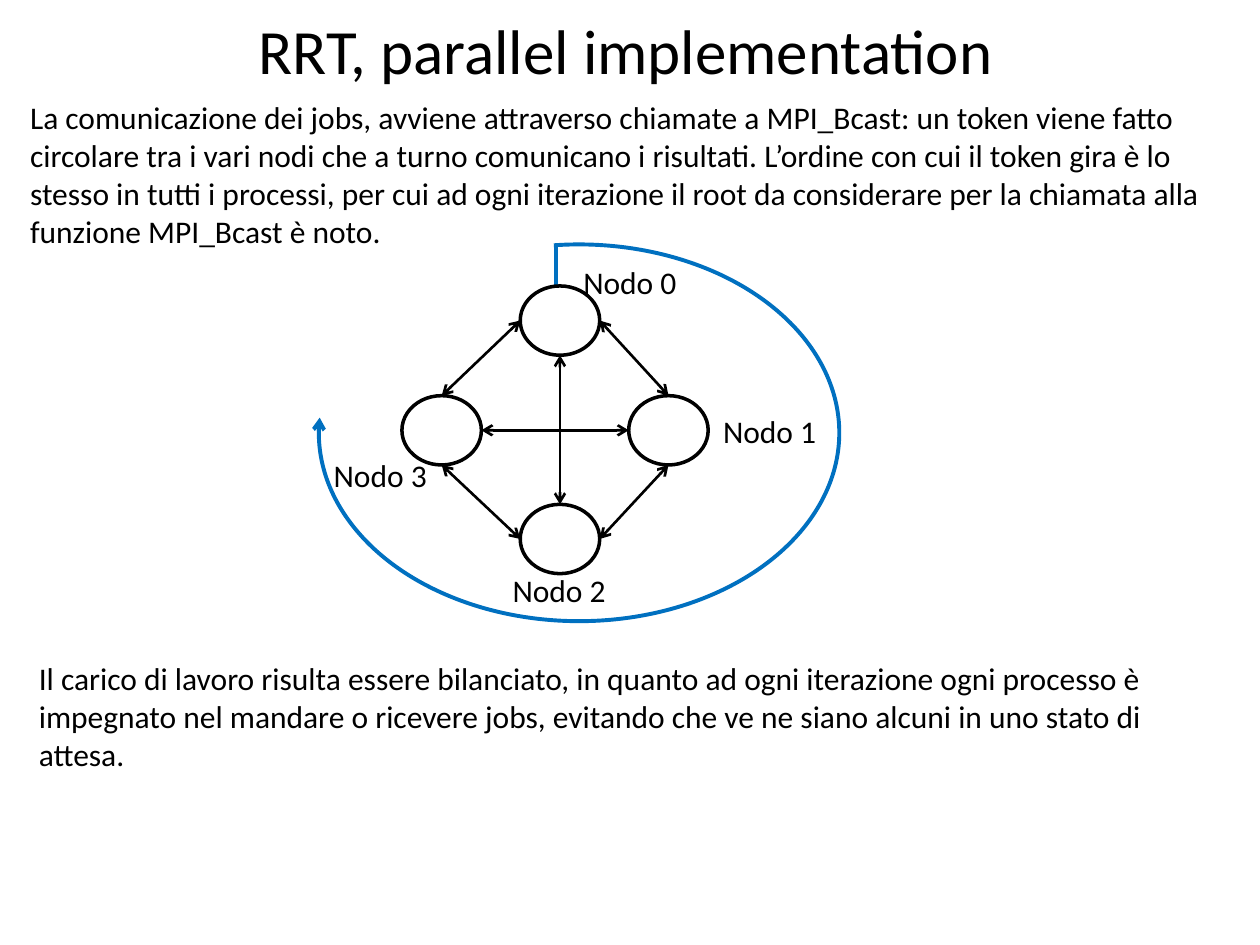
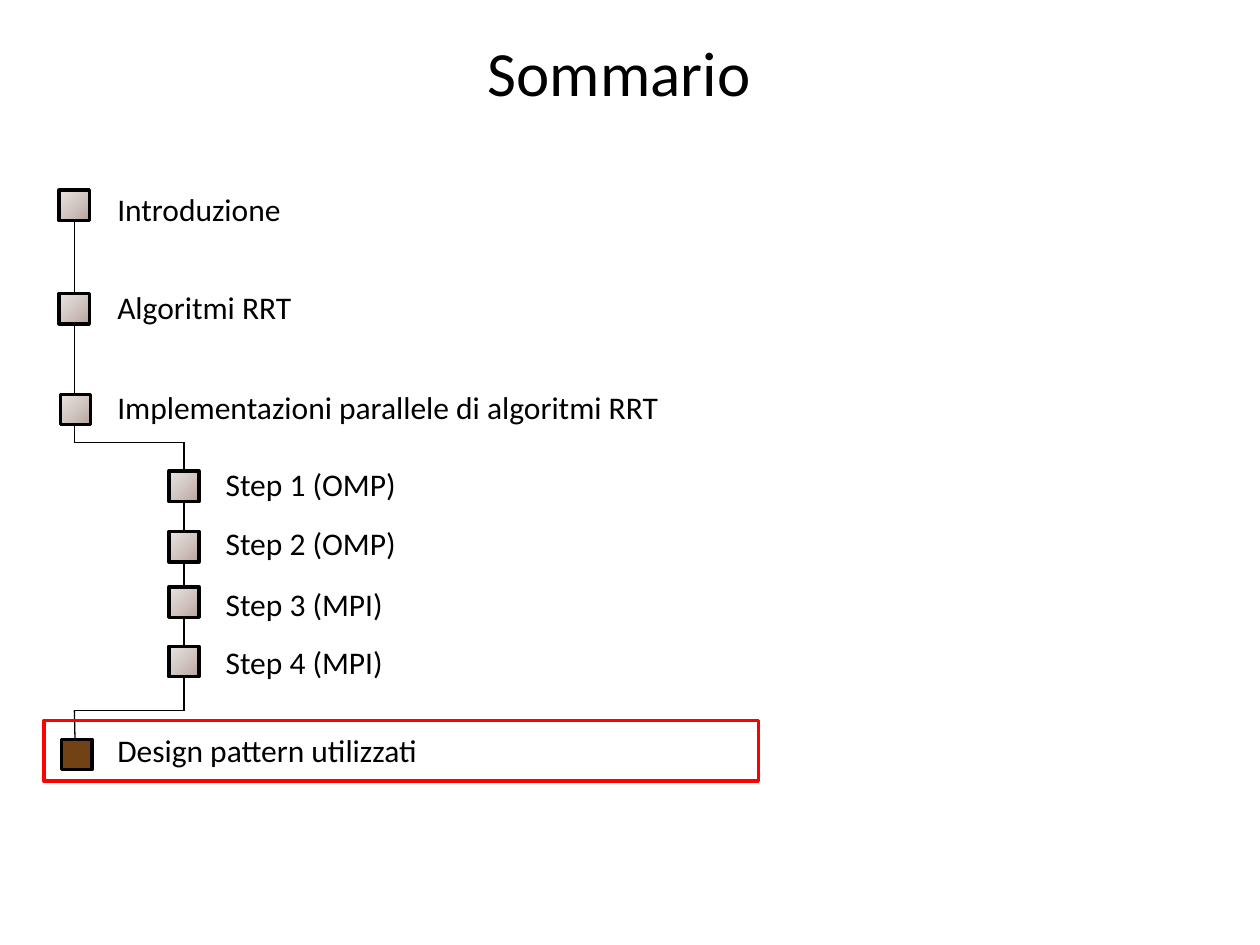
from dataclasses import dataclass
from copy import deepcopy
from itertools import pairwise

from lxml import etree
from pptx import Presentation
from pptx.dml.color import RGBColor
from pptx.enum import shapes, text
from pptx.oxml import ns
from pptx.util import Pt

TITLES = {
    "parallel": ("RRT, parallel implementation", (8.6, 2.9)),
    "summary": ("Sommario", (5, 15.1)),
}
TITLE_SIZE = (697.7, 51.1)

PARAGRAPHS = [
    ("La comunicazione dei jobs, avviene attraverso chiamate a MPI_Bcast: un token viene "
     "fatto circolare tra i vari nodi che a turno comunicano i risultati. L’ordine con cui "
     "il token gira è lo stesso in tutti i processi, per cui ad ogni iterazione il root da "
     "considerare per la chiamata alla funzione MPI_Bcast è noto.", (10.1, 52.6, 684.7, 94.3)),
    ("Il carico di lavoro risulta essere bilanciato, in quanto ad ogni iterazione ogni "
     "processo è impegnato nel mandare o ricevere jobs, evitando che ve ne siano alcuni in "
     "uno stato di attesa.", (15.1, 373, 684.7, 72.7)),
]

NODE_SIZE = (45.4, 39.6)
NODES = [
    ("Nodo 0", (320, 183.2), (326.2, 146.9)),
    ("Nodo 1", (382, 245.9), (406.1, 231.8)),
    ("Nodo 2", (320, 308), (285.8, 322.6)),
    ("Nodo 3", (252.4, 245.9), (183.6, 257)),
]
LABEL_SIZE = (73.4, 51.1)
SIDES = {"top": (0, -0.5), "bottom": (0, 0.5), "left": (-0.5, 0), "right": (0.5, 0)}
LINKS = [
    (3, "top", 0, "left"), (2, "top", 0, "bottom"), (3, "right", 1, "left"),
    (1, "top", 0, "right"), (2, "right", 1, "bottom"), (2, "left", 3, "bottom"),
]
TOKEN_STEM = ((317.5, 140.4), (317.5, 166.3))
TOKEN_ARC = (182.2, 139.7, 297.4, 215.3)
TOKEN_ANGLES = (157.41, 110.01)

TOPICS = [
    ("Introduzione", 0, 105.1, (33.8, 108.7)),
    ("Algoritmi RRT", 0, 161.3, (33.8, 167.8)),
    ("Implementazioni parallele di algoritmi RRT", 0, 218.9, (34.6, 225.4)),
    ("Step 1 (OMP)", 1, 263.5, (96.5, 269.3)),
    ("Step 2 (OMP)", 1, 297.4, (96.5, 303.8)),
    ("Step 3 (MPI)", 1, 332.6, (96.5, 335.5)),
    ("Step 4 (MPI)", 1, 366.5, (96.5, 369.4)),
    ("Design pattern utilizzati", 0, 416.9, (35.3, 422.6)),
]
CURRENT_TOPIC = len(TOPICS) - 1
TOPIC_LEFT, TOPIC_WIDTH, TOPIC_HEIGHT = 59.8, 532.8, 28.8
STEP_INDENT = 61.9
LINE_HEIGHT = 22
MARKER_SIZE = 17.3
TRAIL = [(42.5, 116.6), (42.5, 252.7), (105.1, 252.7),
         (105.1, 406.1), (42.5, 406.1), (43.2, 437)]
CURRENT_FRAME = (25.2, 411.8, 408.2, 34.6)


@dataclass(frozen=True)
class Theme:
    font: str = "Calibri"
    title: float = 36
    body: float = 18
    ink: str = "000000"
    paper: str = "FFFFFF"
    token: str = "0070C0"
    frame: str = "FF0000"
    current: str = "704214"
    marker: tuple = ((0, "B8A39A"), (0.5, "D2C7C3"), (1, "E9E4E2"))
    marker_angle: float = 135
    trail_width: float = 0.75
    link_width: float = 1.5
    outline_width: float = 2
    token_width: float = 2.25


THEME = Theme()


def points(*values):
    return [Pt(value) for value in values]


def color(value):
    return RGBColor.from_string(value)


def place(shape, left, top, width, height):
    shape.left, shape.top, shape.width, shape.height = points(left, top, width, height)


def style(paragraph, size):
    paragraph.font.name = THEME.font
    paragraph.font.size = Pt(size)
    paragraph.font.color.rgb = color(THEME.ink)


def stroke(shape, line_color, width, *arrow_ends):
    shape.line.color.rgb = color(line_color)
    shape.line.width = Pt(width)
    outline = shape.element.spPr.find(ns.qn("a:ln"))
    for end in arrow_ends:
        etree.SubElement(outline, ns.qn(f"a:{end}"), type="arrow")


def add_line(slide, start, finish, line_color, width, *arrow_ends):
    line = slide.shapes.add_connector(
        shapes.MSO_CONNECTOR.STRAIGHT, *points(*start, *finish))
    stroke(line, line_color, width, *arrow_ends)
    etree.SubElement(line.element.spPr, ns.qn("a:effectLst"))


def add_figure(slide, kind, box, line_color, width, fill=None):
    shape = slide.shapes.add_shape(kind, *points(*box))
    shape.shadow.inherit = False
    if fill:
        shape.fill.solid()
        shape.fill.fore_color.rgb = color(fill)
    else:
        shape.fill.background()
    stroke(shape, line_color, width)
    return shape


def add_text(slide, content, box):
    frame = slide.shapes.add_textbox(*points(*box)).text_frame
    frame.word_wrap = True
    frame.text = content
    style(frame.paragraphs[0], THEME.body)


def add_slide(presentation, layout, key):
    slide = presentation.slides.add_slide(presentation.slide_layouts.get_by_name(layout))
    content, position = TITLES[key]
    title = slide.shapes.title
    place(title, *position, *TITLE_SIZE)
    title.text_frame.text = content
    title.text_frame.auto_size = text.MSO_AUTO_SIZE.NONE
    paragraph = title.text_frame.paragraphs[0]
    paragraph.alignment = text.PP_ALIGN.CENTER
    style(paragraph, THEME.title)
    return slide


def node_side(node, side):
    center = NODES[node][1]
    return [middle + size * share
            for middle, size, share in zip(center, NODE_SIZE, SIDES[side])]


def build_parallel(presentation):
    slide = add_slide(presentation, "Title Only", "parallel")
    add_line(slide, *TOKEN_STEM, THEME.token, THEME.token_width)
    for label, center, label_position in NODES:
        corner = [middle - size / 2 for middle, size in zip(center, NODE_SIZE)]
        add_figure(slide, shapes.MSO_SHAPE.OVAL, (*corner, *NODE_SIZE),
                   THEME.ink, THEME.outline_width, THEME.paper)
        add_text(slide, label, (*label_position, *LABEL_SIZE))
    for first, first_side, second, second_side in LINKS:
        add_line(slide, node_side(first, first_side), node_side(second, second_side),
                 THEME.ink, THEME.link_width, "headEnd", "tailEnd")
    arc = add_figure(slide, shapes.MSO_SHAPE.ARC, TOKEN_ARC, THEME.token, THEME.token_width)
    for index, angle in enumerate(TOKEN_ANGLES):
        arc.adjustments[index] = angle
    stroke(arc, THEME.token, THEME.token_width, "tailEnd")
    for content, box in PARAGRAPHS:
        add_text(slide, content, box)


def shade(marker):
    marker.fill.gradient()
    marker.fill.gradient_angle = THEME.marker_angle
    stop_list = marker.element.spPr.find(".//" + ns.qn("a:gsLst"))
    stop_list.insert(1, deepcopy(stop_list[0]))
    for stop, (position, value) in zip(marker.fill.gradient_stops, THEME.marker):
        stop.position = position
        stop.color.rgb = color(value)


def fill_topics(body):
    first_top, last_top = TOPICS[0][2], TOPICS[-1][2]
    place(body, TOPIC_LEFT, first_top, TOPIC_WIDTH, last_top - first_top + TOPIC_HEIGHT)
    frame = body.text_frame
    frame.text = "\n".join(topic[0] for topic in TOPICS)
    frame.auto_size = text.MSO_AUTO_SIZE.NONE
    previous_top = first_top - LINE_HEIGHT
    for paragraph, (_, level, top, _) in zip(frame.paragraphs, TOPICS):
        style(paragraph, THEME.body)
        paragraph.level = level
        paragraph.space_before = Pt(top - previous_top - LINE_HEIGHT)
        previous_top = top
        properties = paragraph._p.get_or_add_pPr()
        properties.set("marL", str(Pt(level * STEP_INDENT)))
        properties.set("indent", "0")
        bullet = etree.Element(ns.qn("a:buNone"))
        properties.find(ns.qn("a:spcBef")).addnext(bullet)


def build_summary(presentation):
    slide = add_slide(presentation, "Title and Content", "summary")
    fill_topics(slide.placeholders[1])
    for start, finish in pairwise(TRAIL):
        add_line(slide, start, finish, THEME.ink, THEME.trail_width)
    add_figure(slide, shapes.MSO_SHAPE.RECTANGLE, CURRENT_FRAME,
               THEME.frame, THEME.outline_width)
    for index, (_, _, _, position) in enumerate(TOPICS):
        marker = add_figure(slide, shapes.MSO_SHAPE.RECTANGLE,
                            (*position, MARKER_SIZE, MARKER_SIZE),
                            THEME.ink, THEME.outline_width, THEME.current)
        if index != CURRENT_TOPIC:
            shade(marker)


def main():
    presentation = Presentation()
    presentation.slide_width, presentation.slide_height = points(720, 540)
    build_parallel(presentation)
    build_summary(presentation)
    presentation.save("out.pptx")


if __name__ == "__main__":
    main()
